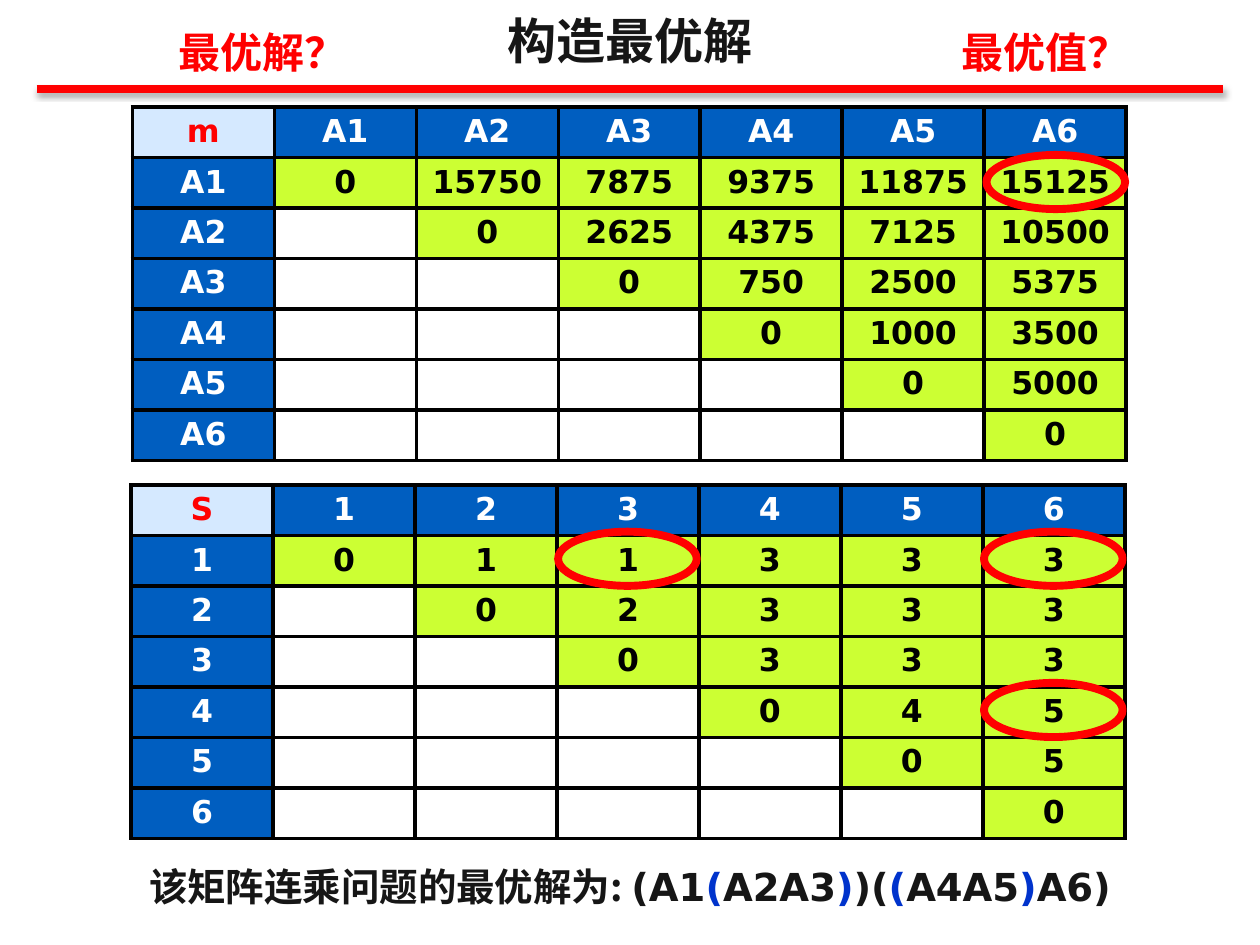
import lxml.etree
import pptx
import pptx.dml.color
import pptx.enum.shapes
import pptx.enum.text
import pptx.oxml.ns
import pptx.util
from pptx.util import Inches

RGBColor = pptx.dml.color.RGBColor
RED = RGBColor(0xFF, 0x00, 0x00)
INK = RGBColor(0x16, 0x16, 0x16)
BLACK = RGBColor(0x00, 0x00, 0x00)
WHITE = RGBColor(0xFF, 0xFF, 0xFF)
BLUE = RGBColor(0x00, 0x33, 0xCC)
HEADER_BLUE = RGBColor(0x00, 0x5E, 0xC0)
CORNER_BLUE = RGBColor(0xD5, 0xE9, 0xFF)
LIME = RGBColor(0xCC, 0xFF, 0x33)

CENTER = pptx.enum.text.PP_ALIGN.CENTER
CHINESE, LATIN = "Noto Sans CJK SC", "DejaVu Sans"
COLUMN, ROW = 1.127, 0.39


def add_xml(parent, tag, **attributes):
    element = lxml.etree.SubElement(parent, pptx.oxml.ns.qn(tag))
    for key, value in attributes.items():
        element.set(key, str(value))
    return element


class SlideBuilder:
    """Holds the slide and the style shared by its elements."""

    def __init__(self, slide):
        self.slide = slide

    def style(self, paragraph, size, color, font):
        paragraph.alignment = CENTER
        paragraph.font.size = pptx.util.Pt(size)
        paragraph.font.bold = True
        paragraph.font.color.rgb = color
        paragraph.font.name = font
        properties = paragraph.font._element
        add_xml(properties, "a:ea", typeface=font)

    def text(self, left, top, width, height, runs, size, color, spacing=1.0):
        """Each run is (text, color, font); None keeps the paragraph's value."""
        box = self.slide.shapes.add_textbox(
            Inches(left), Inches(top), Inches(width), Inches(height))
        box.text_frame.word_wrap = True
        paragraph = box.text_frame.paragraphs[0]
        self.style(paragraph, size, color, CHINESE)
        paragraph.line_spacing = spacing
        for words, run_color, run_font in runs:
            run = paragraph.add_run()
            run.text = words
            if run_color is not None:
                run.font.color.rgb = run_color
            if run_font is not None:
                run.font.name = run_font

    def rule(self, left, right, y):
        line = self.slide.shapes.add_connector(
            pptx.enum.shapes.MSO_CONNECTOR.STRAIGHT,
            Inches(left), Inches(y), Inches(right), Inches(y))
        line.line.color.rgb = RED
        line.line.width = pptx.util.Pt(4.5)
        effects = add_xml(line._element.spPr, "a:effectLst")
        shadow = add_xml(effects, "a:outerShdw", blurRad=pptx.util.Pt(3.1),
                         dist=pptx.util.Pt(1.8), dir=90 * 60000, rotWithShape=0)
        add_xml(add_xml(shadow, "a:srgbClr", val="000000"), "a:alpha", val=35000)

    def ring(self, left, top):
        ellipse = self.slide.shapes.add_shape(
            pptx.enum.shapes.MSO_SHAPE.OVAL,
            Inches(left), Inches(top), Inches(1.1), Inches(0.43))
        ellipse.shadow.inherit = False
        ellipse.fill.background()
        ellipse.line.color.rgb = RED
        ellipse.line.width = pptx.util.Pt(4.5)

    def cell(self, cell, words, fill, color):
        borders = cell._tc.get_or_add_tcPr()
        for side in ("a:lnL", "a:lnR", "a:lnT", "a:lnB"):
            border = add_xml(borders, side, w=pptx.util.Pt(2.25))
            add_xml(add_xml(border, "a:solidFill"), "a:srgbClr", val=BLACK)
        if fill is None:
            cell.fill.background()
        else:
            cell.fill.solid()
            cell.fill.fore_color.rgb = fill
        cell.text = words
        self.style(cell.text_frame.paragraphs[0], 18, color, LATIN)

    def triangle_table(self, left, top, corner, labels, upper_rows):
        """Upper triangular matrix with the same labels on both axes."""
        count = len(labels) + 1
        table = self.slide.shapes.add_table(
            count, count, Inches(left), Inches(top),
            Inches(COLUMN * count), Inches(ROW * count)).table
        table.first_row = table.horz_banding = False
        for column in table.columns:
            column.width = Inches(COLUMN)
        for row in table.rows:
            row.height = Inches(ROW)
        self.cell(table.cell(0, 0), corner, CORNER_BLUE, RED)
        for i, (label, values) in enumerate(zip(labels, upper_rows), 1):
            self.cell(table.cell(0, i), label, HEADER_BLUE, WHITE)
            self.cell(table.cell(i, 0), label, HEADER_BLUE, WHITE)
            for j in range(1, count):
                if j < i:
                    self.cell(table.cell(i, j), "", None, BLACK)
                else:
                    self.cell(table.cell(i, j), str(values[j - i]), LIME, BLACK)


def main():
    presentation = pptx.Presentation()
    presentation.slide_width, presentation.slide_height = Inches(10), Inches(7.5)
    builder = SlideBuilder(
        presentation.slides.add_slide(presentation.slide_layouts[6]))

    # Heading with its rule and the two questions
    builder.rule(0.29, 9.71, 0.71)
    builder.text(0, 0.09, 10, 0.68, [("构造最优解", None, None)], 28, INK, 0.9)
    for left, question in ((7.2, "最优值？"), (0.98, "最优解？")):
        builder.text(left, 0.16, 2.2, 0.58, [(question, None, None)], 24, RED)

    # Minimum multiplication counts
    costs = [
        [0, 15750, 7875, 9375, 11875, 15125],
        [0, 2625, 4375, 7125, 10500],
        [0, 750, 2500, 5375],
        [0, 1000, 3500],
        [0, 5000],
        [0],
    ]
    builder.triangle_table(1.05, 0.85, "m", [f"A{n}" for n in range(1, 7)], costs)

    # Split positions
    splits = [
        [0, 1, 1, 3, 3, 3],
        [0, 2, 3, 3, 3],
        [0, 3, 3, 3],
        [0, 4, 5],
        [0, 5],
        [0],
    ]
    builder.triangle_table(1.04, 3.85, "S", [str(n) for n in range(1, 7)], splits)

    # Resulting parenthesization, inner brackets in blue
    solution = [("(A1", INK), ("(", BLUE), ("A2A3", INK), (")", BLUE), (")(", INK),
                ("(", BLUE), ("A4A5", INK), (")", BLUE), ("A6)", INK)]
    builder.text(0, 6.84, 10, 0.53,
                 [("该矩阵连乘问题的最优解为: ", None, None)]
                 + [(words, color, LATIN) for words, color in solution],
                 22, INK, 0.9)

    # Rings around the values used for the solution
    for left, top in ((7.83, 1.23), (7.81, 4.22), (4.43, 4.22), (7.81, 5.42)):
        builder.ring(left, top)

    presentation.save("out.pptx")


if __name__ == "__main__":
    main()
